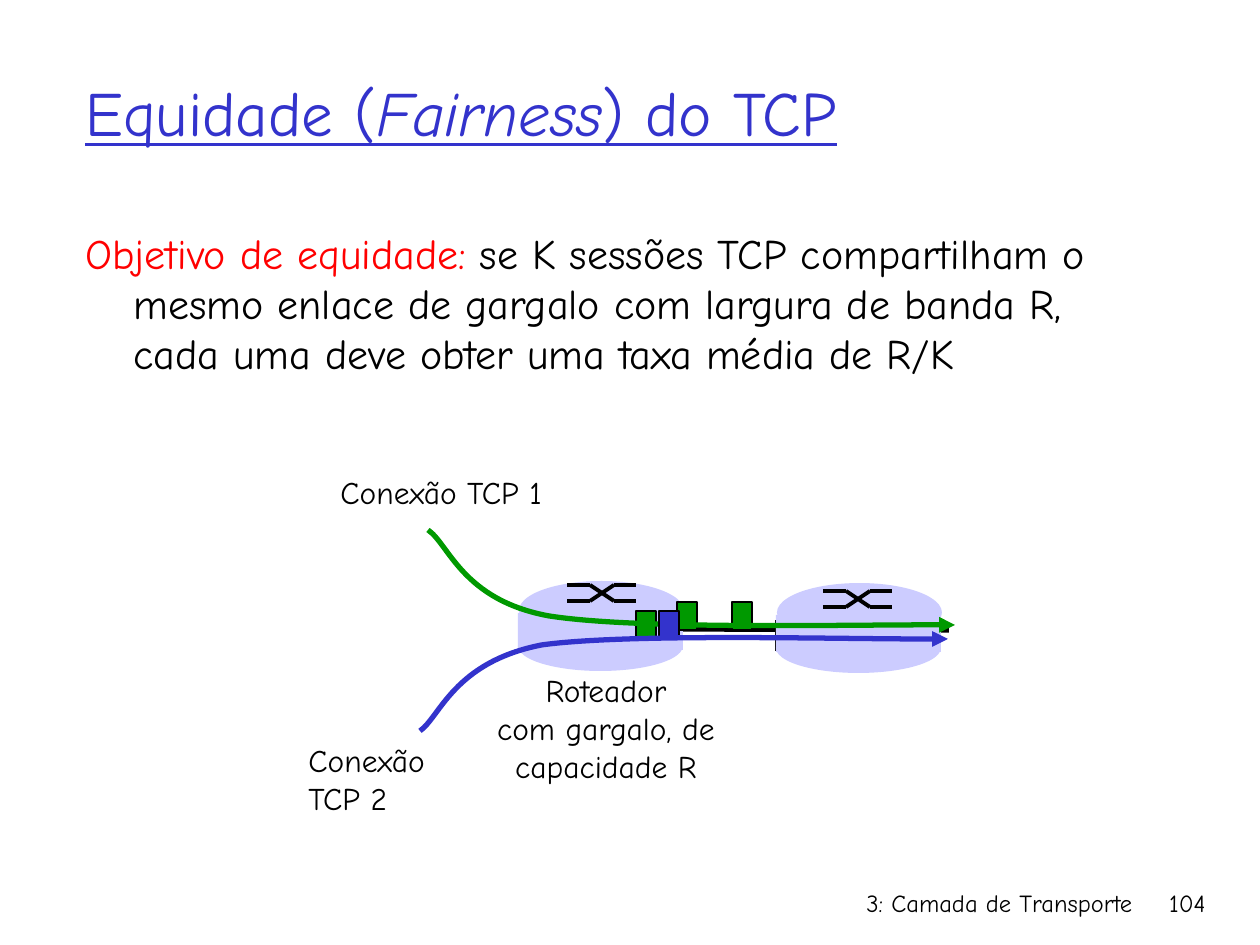
"""Build the slide on TCP fairness with its two-connection bottleneck diagram."""
import itertools
from dataclasses import dataclass
from typing import Any

import pptx
import pptx.dml.color
import pptx.enum.shapes
import pptx.enum.text
import pptx.oxml
import pptx.oxml.ns
import pptx.util

SCALE = 914400 / 126
SHAPE = pptx.enum.shapes.MSO_SHAPE
ALIGN = pptx.enum.text.PP_ALIGN
ANCHOR = pptx.enum.text.MSO_ANCHOR
qn = pptx.oxml.ns.qn


@dataclass(frozen=True)
class Theme:
    font: str = "Comic Neue"
    blue: str = "3333CC"
    green: str = "009900"
    red: str = "FF0000"
    black: str = "000000"
    router: str = "CCCCFF"
    title: int = 36
    body: int = 24
    label: int = 18
    footer: int = 14


T = Theme()


@dataclass(frozen=True)
class Run:
    text: str
    color: str = T.black
    italic: bool = False
    underline: bool = False


@dataclass(frozen=True)
class Label:
    box: tuple[int, int, int, int]
    paragraphs: list[list[Run]]
    size: int
    align: Any = ALIGN.LEFT
    anchor: Any = ANCHOR.TOP
    wrap: bool = True
    hanging: int = 0


@dataclass(frozen=True)
class Flow:
    color: str
    points: list[tuple[int, int]]


@dataclass(frozen=True)
class Router:
    x: int
    y: int
    glyph_x: int
    glyph_y: int


def px(n: float) -> int:
    return round(n * SCALE)


def rgb(color: str) -> Any:
    return pptx.dml.color.RGBColor.from_string(color)


def add_label(s: Any, label: Label) -> None:
    sp = s.shapes.add_textbox(*map(px, label.box))
    tf = sp.text_frame
    tf.word_wrap = label.wrap
    tf.vertical_anchor = label.anchor
    for i, runs in enumerate(label.paragraphs):
        p = tf.add_paragraph() if i else tf.paragraphs[0]
        p.alignment = label.align
        if label.hanging:
            pPr = p._p.get_or_add_pPr()
            pPr.set("marL", str(px(label.hanging)))
            pPr.set("indent", str(-px(label.hanging)))
        for run in runs:
            for j, text in enumerate(run.text.split("\v")):
                if j:
                    p.add_line_break()
                r = p.add_run()
                r.text = text
                r.font.name = T.font
                r.font.size = pptx.util.Pt(label.size)
                r.font.color.rgb = rgb(run.color)
                r.font.italic = run.italic
                r.font.underline = run.underline


def add_line(shapes: Any, start: tuple[int, int], end: tuple[int, int], width: float) -> None:
    sp = shapes.add_connector(pptx.enum.shapes.MSO_CONNECTOR.STRAIGHT, *map(px, start + end))
    sp.line.color.rgb = rgb(T.black)
    sp.line.width = pptx.util.Pt(width)
    pptx.oxml.ns.qn("a:effectLst")
    sp._element.spPr.append(pptx.oxml.parse_xml(f"<a:effectLst {pptx.oxml.ns.nsdecls('a')}/>"))


def add_solid(s: Any, kind: Any, box: tuple[int, int, int, int], fill: str, outlined: bool = False) -> None:
    sp = s.shapes.add_shape(kind, *map(px, box))
    sp.shadow.inherit = False
    sp.fill.solid()
    sp.fill.fore_color.rgb = rgb(fill)
    if outlined:
        sp.line.color.rgb = rgb(T.black)
        sp.line.width = pptx.util.Pt(0.75)
    else:
        sp.line.fill.background()


def add_router(s: Any, router: Router) -> None:
    x, y = router.x, router.y
    add_solid(s, SHAPE.OVAL, (x, y + 40, 165, 50), T.router)
    add_solid(s, SHAPE.RECTANGLE, (x, y + 32, 165, 37), T.router)
    add_solid(s, SHAPE.OVAL, (x + 1, y, 165, 59), T.router)
    grp = s.shapes.add_group_shape()
    left, inner_left, inner_right, right = (router.glyph_x + dx for dx in (0, 23, 47, 69))
    top, bottom = router.glyph_y, router.glyph_y + 16
    for near, far in ((top, bottom), (bottom, top)):
        add_line(grp.shapes, (left, near), (inner_left, near), 2.25)
        add_line(grp.shapes, (inner_left, near), (inner_right, far), 2.25)
        add_line(grp.shapes, (inner_right, far), (right, far), 2.25)


def add_packet(s: Any, x: int, y: int, color: str) -> None:
    add_solid(s, SHAPE.RECTANGLE, (x, y, 20, 28), color, outlined=True)


def add_flow(s: Any, flow: Flow) -> None:
    points = [(px(x), px(y)) for x, y in flow.points]
    builder = s.shapes.build_freeform(*points[0])
    builder.add_line_segments(points[1:], close=False)
    sp = builder.convert_to_shape()
    segments = list(sp._element.iter(qn("a:lnTo")))
    for first, second, third in itertools.batched(segments, 3) if hasattr(itertools, "batched") else zip(*[iter(segments)] * 3):
        curve = pptx.oxml.parse_xml(f"<a:cubicBezTo {pptx.oxml.ns.nsdecls('a')}/>")
        first.addprevious(curve)
        for segment in (first, second, third):
            curve.append(segment[0])
            segment.getparent().remove(segment)
    sp.shadow.inherit = False
    sp.fill.background()
    sp.line.color.rgb = rgb(flow.color)
    sp.line.width = pptx.util.Pt(3)
    sp.line._get_or_add_ln().append(
        pptx.oxml.parse_xml(f'<a:tailEnd {pptx.oxml.ns.nsdecls("a")} type="triangle"/>')
    )


TEXTS = [
    Label((73, 32, 1071, 158), [[
        Run("Equidade (", T.blue, underline=True),
        Run("Fairness", T.blue, italic=True, underline=True),
        Run(") do TCP", T.blue, underline=True),
    ]], T.title, anchor=ANCHOR.MIDDLE),
    Label((73, 221, 1071, 640), [[
        Run("Objetivo de equidade:", T.red),
        Run(" se K sessões TCP compartilham o mesmo enlace de gargalo com largura de banda R, "
            "cada uma deve obter uma taxa média de R/K"),
    ]], T.body, hanging=48),
    Label((328, 467, 236, 50), [[Run("Conexão TCP 1")]], T.label, wrap=False),
    Label((480, 665, 252, 126), [[Run("Roteador\vcom gargalo, de")], [Run("capacidade R")]],
          T.label, ALIGN.CENTER, wrap=False),
    Label((296, 735, 155, 88), [[Run("Conexão")], [Run("TCP 2")]], T.label, wrap=False),
    Label((746, 882, 399, 63), [[Run("3: Camada de Transporte")]], T.footer, ALIGN.RIGHT),
    Label((1125, 882, 93, 63), [[Run("104")]], T.footer, ALIGN.RIGHT),
]
FLOW_1 = Flow(T.green, [(428, 530), (449, 544), (462, 600), (549, 616), (638, 630), (871, 624), (955, 625)])
FLOW_2 = Flow(T.blue, [(420, 731), (440, 717), (454, 662), (542, 645), (630, 633), (863, 640), (948, 639)])


def main() -> None:
    prs = pptx.Presentation()
    prs.slide_width, prs.slide_height = px(1260), px(945)
    s = prs.slides.add_slide(prs.slide_layouts[6])
    add_line(s.shapes, (683, 629), (949, 630), 3)
    add_router(s, Router(518, 581, 567, 585))
    add_line(s.shapes, (776, 620), (776, 651), 1)
    add_router(s, Router(776, 583, 823, 591))
    for x, y in ((732, 602), (636, 611), (677, 602)):
        add_packet(s, x, y, T.green)
    add_flow(s, FLOW_1)
    add_packet(s, 659, 611, T.blue)
    add_flow(s, FLOW_2)
    for label in TEXTS:
        add_label(s, label)
    prs.save("out.pptx")


if __name__ == "__main__":
    main()
